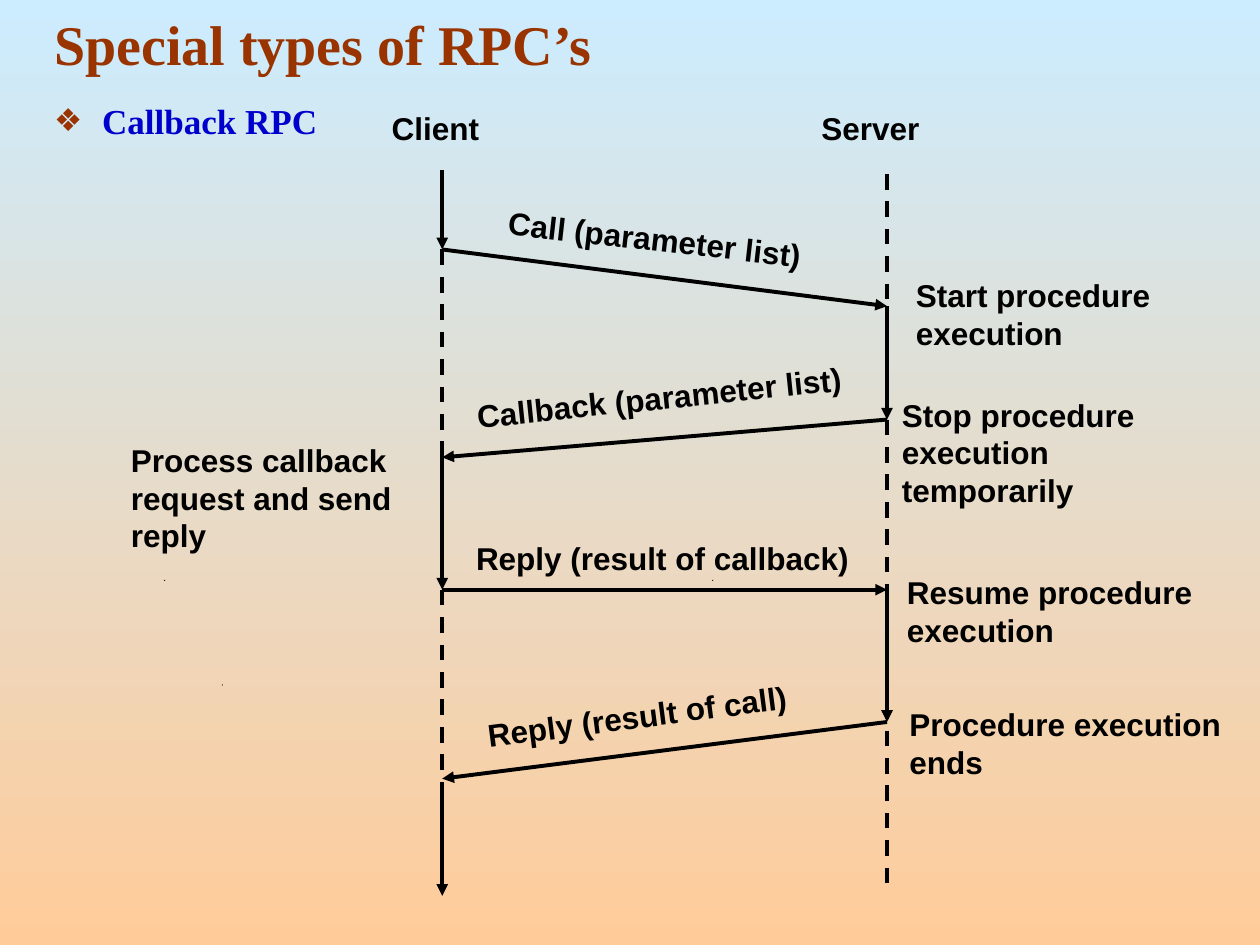
from lxml.etree import SubElement
from pptx import Presentation
from pptx.dml.color import RGBColor
from pptx.enum.dml import MSO_LINE
from pptx.enum.shapes import MSO_CONNECTOR
from pptx.enum.text import MSO_ANCHOR, MSO_AUTO_SIZE, PP_ALIGN
from pptx.oxml.ns import qn
from pptx.util import Emu, Pt

EMU_PER_PX = 9144  # 100 px to the inch
BLACK = RGBColor(0x00, 0x00, 0x00)
RUST = RGBColor(0x99, 0x33, 0x00)
BLUE = RGBColor(0x00, 0x00, 0xCC)
SKY = RGBColor(0xCC, 0xEC, 0xFF)
PEACH = RGBColor(0xFF, 0xCC, 0x99)

CLIENT_X, SERVER_X = 351, 704

# Lifeline pieces: x, top, bottom, active
LIFELINES = [
    (CLIENT_X, 135, 198, True),
    (CLIENT_X, 198, 363, False),
    (CLIENT_X, 363, 468, True),
    (CLIENT_X, 468, 618, False),
    (CLIENT_X, 621, 711, True),
    (SERVER_X, 138, 243, False),
    (SERVER_X, 243, 333, True),
    (SERVER_X, 333, 468, False),
    (SERVER_X, 468, 573, True),
    (SERVER_X, 558, 708, False),
]

# Messages: from x, from y, to x, to y
MESSAGES = [
    (CLIENT_X, 198, SERVER_X, 243),
    (SERVER_X, 333, CLIENT_X, 363),
    (CLIENT_X, 468, SERVER_X, 468),
    (SERVER_X, 573, CLIENT_X, 618),
]

# Labels: text, left, top, width, height, rotation
LABELS = [
    ("Client", 301, 82, 108, 40, 0),
    ("Server", 642, 82, 158, 40, 0),
    ("Start procedure execution", 717, 214, 283, 70, 0),
    ("Stop procedure execution temporarily", 706, 309, 258, 100, 0),
    ("Resume procedure execution", 710, 450, 270, 70, 0),
    ("Procedure execution ends", 712, 555, 267, 70, 0),
    ("Process callback request and send reply", 94, 345, 235, 100, 0),
    ("Call (parameter list)", 393, 171, 283, 40, 6.4),
    ("Callback (parameter list)", 368, 295, 316, 40, 354.1),
    ("Reply (result of callback)", 368, 423, 333, 40, 0),
    ("Reply (result of call)", 376, 545, 308, 40, 352.6),
]

SPECKS = [(176, 543), (130, 460), (565, 460)]


def px(length):
    return Emu(length * EMU_PER_PX)


def place(shape, left, top, width, height):
    shape.left, shape.top = px(left), px(top)
    shape.width, shape.height = px(width), px(height)


def write(shape, text, *, font="Arial", size=18, color=BLACK,
          align=PP_ALIGN.LEFT, anchor=MSO_ANCHOR.TOP,
          auto_size=MSO_AUTO_SIZE.NONE):
    frame = shape.text_frame
    frame.word_wrap = True
    frame.auto_size = auto_size
    frame.vertical_anchor = anchor
    para = frame.paragraphs[0]
    para.alignment = align
    para.space_before = Pt(0)
    span = para.add_run()
    span.text = text
    span.font.name, span.font.size = font, Pt(size)
    span.font.bold = True
    span.font.color.rgb = color
    return para


def add_bullet(para, char, color, percent, indent):
    props = para._p.get_or_add_pPr()
    props.set("marL", str(px(indent)))
    props.set("indent", str(-px(indent)))
    bullet_color = SubElement(props, qn("a:buClr"))
    SubElement(bullet_color, qn("a:srgbClr"), val=str(color))
    SubElement(props, qn("a:buSzPct"), val=str(percent * 1000))
    SubElement(props, qn("a:buChar"), char=char)


def add_label(page, text, left, top, width, height, rotation):
    box = page.shapes.add_textbox(px(left), px(top), px(width), px(height))
    box.rotation = rotation
    write(box, text, auto_size=MSO_AUTO_SIZE.SHAPE_TO_FIT_TEXT)


def add_line(page, x1, y1, x2, y2, active=True):
    """Draw a solid arrow, or a dashed line when not active."""
    connector = page.shapes.add_connector(
        MSO_CONNECTOR.STRAIGHT, px(x1), px(y1), px(x2), px(y2))
    line = connector.line
    line.color.rgb = BLACK
    line.width = Pt(2.25)
    if active:
        SubElement(line._get_or_add_ln(), qn("a:tailEnd"), type="triangle")
    else:
        line.dash_style = MSO_LINE.DASH
    SubElement(connector._element.spPr, qn("a:effectLst"))


def add_speck(page, left, top):
    builder = page.shapes.build_freeform(left, top + 1, scale=EMU_PER_PX)
    builder.add_line_segments([(left + 1, top), (left + 1, top + 1)])
    speck = builder.convert_to_shape()
    speck.shadow.inherit = False
    speck.fill.solid()
    speck.fill.fore_color.rgb = BLACK
    speck.line.fill.background()


def paint_background(page):
    fill = page.background.fill
    fill.gradient()
    fill.gradient_angle = 270
    for stop, color in zip(fill.gradient_stops, (SKY, PEACH)):
        stop.color.rgb = color


def main():
    deck = Presentation()
    deck.slide_width, deck.slide_height = px(1000), px(750)
    page = deck.slides.add_slide(deck.slide_layouts[1])
    paint_background(page)

    # Title and topic
    title, body = page.shapes.title, page.placeholders[1]
    place(title, 33, 0, 900, 68)
    write(title, "Special types of RPC’s", font="Times New Roman", size=32,
          color=RUST, anchor=MSO_ANCHOR.MIDDLE)
    place(body, 33, 66, 942, 52)
    topic = write(body, "Callback RPC", font="Times New Roman", size=20,
                  color=BLUE, align=PP_ALIGN.JUSTIFY)
    add_bullet(topic, "❖", RUST, percent=90, indent=38)
    topic.line_spacing = 1.25

    # Sequence diagram
    for speck in SPECKS:
        add_speck(page, *speck)
    for piece_x, top, bottom, active in LIFELINES:
        add_line(page, piece_x, top, piece_x, bottom, active)
    for message in MESSAGES:
        add_line(page, *message)
    for label in LABELS:
        add_label(page, *label)

    deck.save("out.pptx")


if __name__ == "__main__":
    main()
